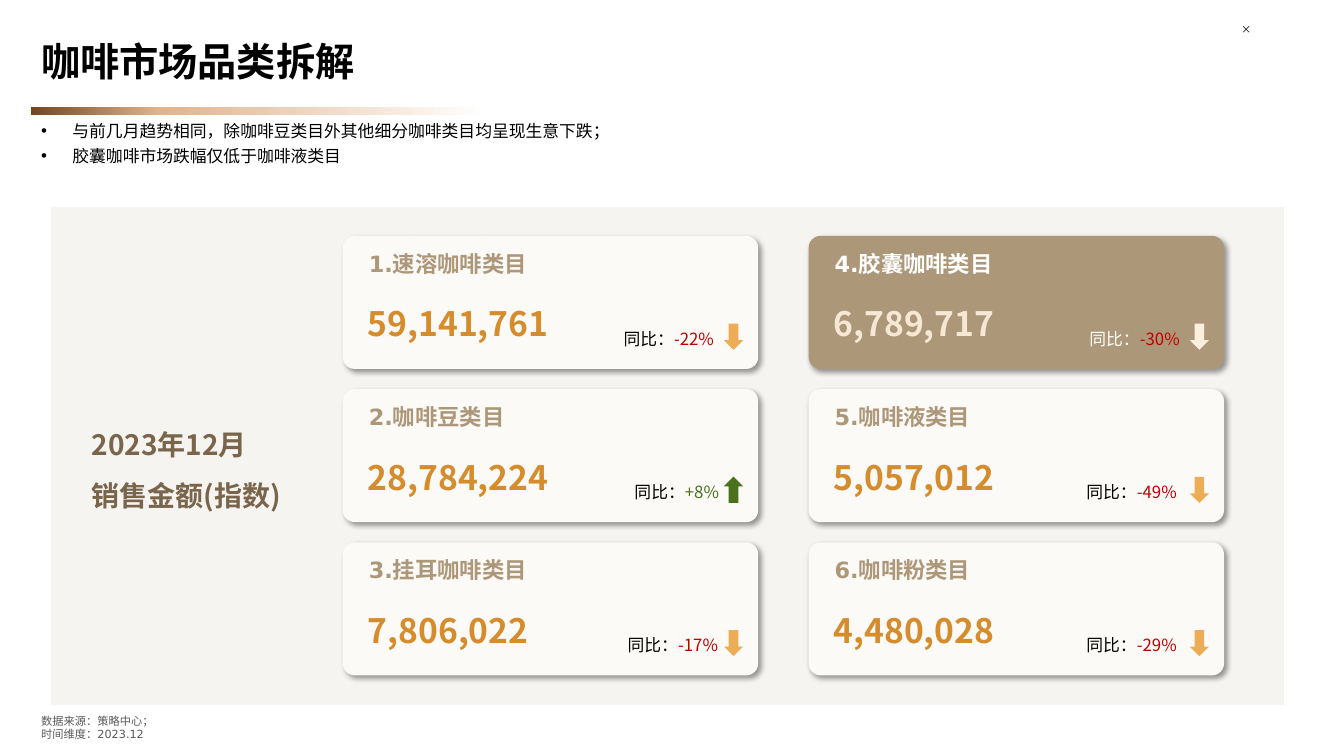
from dataclasses import dataclass
from typing import Any

import lxml.etree
import pptx
import pptx.dml.color
import pptx.enum.shapes
import pptx.enum.text
import pptx.oxml.ns
import pptx.util

Inches = pptx.util.Inches
Pt = pptx.util.Pt
RGBColor = pptx.dml.color.RGBColor
Shapes = pptx.enum.shapes.MSO_SHAPE
Align = pptx.enum.text.PP_ALIGN
Anchor = pptx.enum.text.MSO_ANCHOR
AutoSize = pptx.enum.text.MSO_AUTO_SIZE
qn = pptx.oxml.ns.qn

NOTO = "Noto Sans CJK SC"
DEJAVU = "DejaVu Sans"

BLACK = RGBColor(0x00, 0x00, 0x00)
WHITE = RGBColor(0xFF, 0xFF, 0xFF)
GRAY = RGBColor(0x59, 0x59, 0x59)
PANEL = RGBColor(0xF6, 0xF4, 0xF0)
CREAM = RGBColor(0xFB, 0xFA, 0xF7)
TAN = RGBColor(0xAD, 0x97, 0x79)
BROWN = RGBColor(0x79, 0x65, 0x4B)
AMBER = RGBColor(0xD5, 0x8C, 0x2D)
LIGHT_AMBER = RGBColor(0xED, 0xAD, 0x56)
PALE_AMBER = RGBColor(0xF7, 0xE8, 0xD5)
IVORY = RGBColor(0xFB, 0xEF, 0xDD)
RED = RGBColor(0xC0, 0x00, 0x00)
GREEN = RGBColor(0x49, 0x71, 0x1E)
BAR_STOPS = [(0, RGBColor(0x73, 0x46, 0x1F)), (28, RGBColor(0xE0, 0xB3, 0x8C)), (100, WHITE)]


@dataclass(frozen=True)
class Style:
    size: float
    name: str
    color: RGBColor
    bold: bool = False


@dataclass(frozen=True)
class CardLook:
    fill: RGBColor
    heading: RGBColor
    amount: RGBColor
    label: RGBColor
    down_arrow: RGBColor


@dataclass(frozen=True)
class Card:
    heading: str
    amount: str
    change: str
    label_right: float  # right edge of the change label, from the card's left
    look: CardLook


PLAIN = CardLook(CREAM, TAN, AMBER, BLACK, LIGHT_AMBER)
FOCUS = CardLook(TAN, WHITE, PALE_AMBER, WHITE, IVORY)
CARDS = [
    Card("1.速溶咖啡类目", "59,141,761", "-22%", 3.78, PLAIN),
    Card("2.咖啡豆类目", "28,784,224", "+8%", 3.83, PLAIN),
    Card("3.挂耳咖啡类目", "7,806,022", "-17%", 3.82, PLAIN),
    Card("4.胶囊咖啡类目", "6,789,717", "-30%", 3.78, FOCUS),
    Card("5.咖啡液类目", "5,057,012", "-49%", 3.75, PLAIN),
    Card("6.咖啡粉类目", "4,480,028", "-29%", 3.75, PLAIN),
]
CARD_ROWS = 3
GRID_LEFT, GRID_TOP = 3.4, 2.34
COLUMN_STEP, ROW_STEP = 4.62, 1.52
CARD_WIDTH, CARD_HEIGHT = 4.12, 1.32


def add_run(paragraph: Any, text: str, style: Style) -> None:
    run = paragraph.add_run()
    run.text = text
    values = {"size": Pt(style.size), "name": style.name, "bold": style.bold}
    for key, value in values.items():
        setattr(run.font, key, value)
    run.font.color.rgb = style.color
    east_asian = lxml.etree.SubElement(run._r.get_or_add_rPr(), qn("a:ea"))
    east_asian.set("typeface", style.name)


def add_text(shapes: Any, box: tuple, lines: list, frame_format: dict | None = None,
             paragraph_format: dict | None = None, bulleted: bool = False) -> None:
    """Each line is a list of (text, style) runs."""
    frame = shapes.add_textbox(*map(Inches, box)).text_frame
    values = {"word_wrap": True, "auto_size": AutoSize.NONE} | (frame_format or {})
    for key, value in values.items():
        setattr(frame, key, value)
    for index, runs in enumerate(lines):
        paragraph = frame.add_paragraph() if index else frame.paragraphs[0]
        for key, value in (paragraph_format or {}).items():
            setattr(paragraph, key, value)
        if bulleted:
            properties = paragraph._p.get_or_add_pPr()
            properties.set("marL", str(Inches(0.31)))
            properties.set("indent", str(-Inches(0.31)))
            lxml.etree.SubElement(properties, qn("a:buFont")).set("typeface", "Arial")
            lxml.etree.SubElement(properties, qn("a:buChar")).set("char", "•")
        for text, style in runs:
            add_run(paragraph, text, style)


def add_block(shapes: Any, kind: Any, box: tuple, fill: RGBColor) -> Any:
    shape = shapes.add_shape(kind, *map(Inches, box))
    shape.shadow.inherit = False
    shape.fill.solid()
    shape.fill.fore_color.rgb = fill
    shape.line.fill.background()
    return shape


def add_color(parent: Any, color: RGBColor, alpha: int = 100) -> None:
    element = lxml.etree.SubElement(parent, qn("a:srgbClr"))
    element.set("val", str(color))
    if alpha < 100:
        lxml.etree.SubElement(element, qn("a:alpha")).set("val", str(alpha * 1000))


def add_shadow(shape: Any) -> None:
    effects = shape._element.spPr.find(qn("a:effectLst"))
    shadow = lxml.etree.SubElement(effects, qn("a:outerShdw"))
    values = {"blurRad": Pt(4), "dist": Pt(3), "dir": 45 * 60000, "algn": "tl", "rotWithShape": 0}
    for key, value in values.items():
        shadow.set(key, str(value))
    add_color(shadow, BLACK, 40)


def add_close_mark(slide: Any) -> None:
    group = slide.shapes.add_group_shape()
    for start_x, end_x in ((12.33, 12.39), (12.39, 12.33)):
        stroke = group.shapes.add_connector(
            pptx.enum.shapes.MSO_CONNECTOR.STRAIGHT,
            *map(Inches, (start_x, 0.26, end_x, 0.32)))
        stroke.line.width = Pt(0.5)
        line_fill = lxml.etree.SubElement(stroke.line._get_or_add_ln(), qn("a:solidFill"))
        add_color(line_fill, BLACK, 80)
        lxml.etree.SubElement(stroke._element.spPr, qn("a:effectLst"))


def add_gradient_bar(slide: Any) -> None:
    bar = add_block(slide.shapes, Shapes.RECTANGLE, (0.31, 1.06, 4.51, 0.08), WHITE)
    bar.fill.gradient()
    bar.fill.gradient_angle = 0
    stops = bar._element.spPr.find(qn("a:gradFill")).find(qn("a:gsLst"))
    for stop in list(stops):
        stops.remove(stop)
    for position, color in BAR_STOPS:
        stop = lxml.etree.SubElement(stops, qn("a:gs"))
        stop.set("pos", str(position * 1000))
        add_color(stop, color)


def add_card(slide: Any, card: Card, left: float, top: float) -> None:
    shapes = slide.shapes.add_group_shape().shapes
    look = card.look
    rising = card.change.startswith("+")
    grow = {"auto_size": AutoSize.SHAPE_TO_FIT_TEXT}

    base = add_block(shapes, Shapes.ROUNDED_RECTANGLE,
                     (left, top, CARD_WIDTH, CARD_HEIGHT), look.fill)
    base.adjustments[0] = 0.09
    add_shadow(base)
    add_text(shapes, (left + 0.16, top + 0.09, 3.37, 0.41),
             [[(card.heading, Style(16, DEJAVU, look.heading, True))]], grow)
    add_text(shapes, (left + 0.15, top + 0.42, 2.28, 0.7),
             [[(card.amount, Style(24, NOTO, look.amount, True))]], grow, {"line_spacing": 1.5})
    add_text(shapes, (left + card.label_right - 2, top + 0.83, 2, 0.35),
             [[("同比：", Style(12, NOTO, look.label)),
               (card.change, Style(12, NOTO, GREEN if rising else RED))]],
             grow, {"alignment": Align.RIGHT, "line_spacing": 1.2})
    arrow = add_block(shapes, Shapes.UP_ARROW, (left + 3.78, top + 0.87, 0.19, 0.26),
                      GREEN if rising else look.down_arrow)
    arrow.rotation = 0 if rising else 180


def main() -> None:
    presentation = pptx.Presentation()
    presentation.slide_width = Inches(13.33)
    presentation.slide_height = Inches(7.5)
    slide = presentation.slides.add_slide(presentation.slide_layouts[6])

    # Header and background panel
    add_close_mark(slide)
    add_gradient_bar(slide)
    panel = add_block(slide.shapes, Shapes.RECTANGLE, (0.51, 2.06, 12.22, 4.93), PANEL)
    panel.line.color.rgb = PANEL
    panel.line.width = Pt(1)
    add_text(slide.shapes, (0.31, 0.24, 10.32, 0.78),
             [[("咖啡市场品类拆解", Style(28, DEJAVU, BLACK, True))]],
             {"vertical_anchor": Anchor.MIDDLE}, {"line_spacing": 0.9})

    # Findings and source note
    finding = Style(12, NOTO, BLACK)
    add_text(slide.shapes, (0.31, 1.19, 12.72, 0.78),
             [[("与前几月趋势相同，除咖啡豆类目外其他细分咖啡类目均呈现生意下跌；", finding)],
              [("胶囊咖啡市场跌幅仅低于咖啡液类目", finding)]],
             paragraph_format={"space_after": Pt(6), "line_spacing": 0.8}, bulleted=True)
    note = Style(8, DEJAVU, GRAY)
    add_text(slide.shapes, (0.31, 7.05, 12.72, 0.33),
             [[("数据来源：策略中心；", note)], [("时间维度：2023.12", note)]],
             {"vertical_anchor": Anchor.MIDDLE})

    # Category cards, filled column by column
    for index, card in enumerate(CARDS):
        column, row = divmod(index, CARD_ROWS)
        add_card(slide, card, GRID_LEFT + column * COLUMN_STEP, GRID_TOP + row * ROW_STEP)

    # Metric caption
    caption = Style(20, NOTO, BROWN, True)
    add_text(slide.shapes, (0.81, 4.03, 3.99, 1.05),
             [[("2023年12月", caption)], [("销售金额(指数)", caption)]],
             {"auto_size": AutoSize.SHAPE_TO_FIT_TEXT}, {"line_spacing": 1.5})

    presentation.save("out.pptx")


if __name__ == "__main__":
    main()
